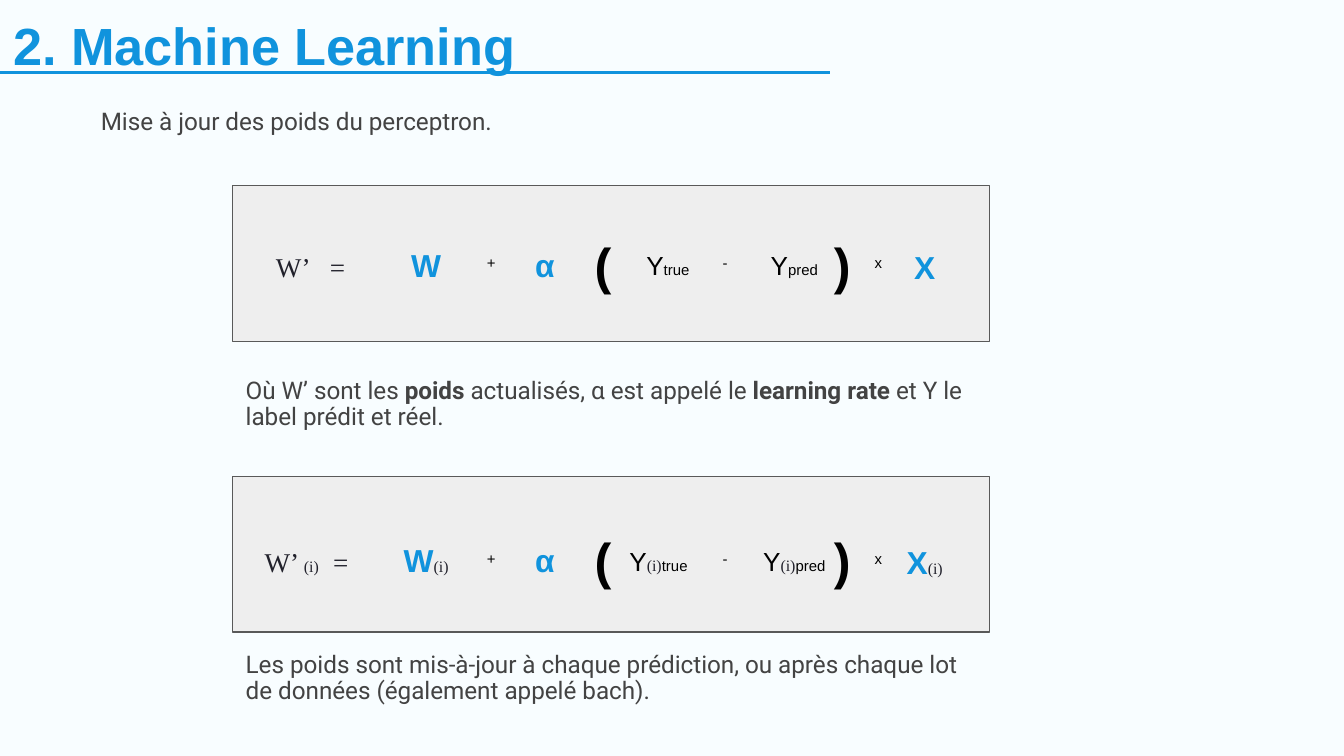
from dataclasses import dataclass

from lxml import etree
from pptx import Presentation
from pptx.dml.color import RGBColor
from pptx.enum.shapes import MSO_CONNECTOR, MSO_SHAPE
from pptx.enum.text import MSO_ANCHOR, MSO_AUTO_SIZE, PP_ALIGN
from pptx.oxml.ns import qn
from pptx.util import Inches, Pt

LEFT, CENTER = PP_ALIGN.LEFT, PP_ALIGN.CENTER
TOP = MSO_ANCHOR.TOP
GROW = MSO_AUTO_SIZE.SHAPE_TO_FIT_TEXT
RECTANGLE, STRAIGHT = MSO_SHAPE.RECTANGLE, MSO_CONNECTOR.STRAIGHT
NO_GRID_STYLE = "{2D5ABB26-0587-4C30-8999-92F81FD0307C}"

WIDTH = Inches(10)
HEIGHT = WIDTH * 9 // 16
CELL = WIDTH / 100  # square grid, 100 columns across the slide
PANEL_LEFT, PANEL_WIDTH, PANEL_HEIGHT = 17.3, 56.35, 11.6


@dataclass(frozen=True)
class Theme:
    background: str = "F8FDFF"
    accent: str = "1093DD"
    body: str = "434343"
    formula: str = "21212B"
    black: str = "000000"
    panel: str = "EEEEEE"
    border: str = "595959"
    sans: str = "Arial"
    serif: str = "Times New Roman"
    text: str = "Roboto"
    title_size: float = 28
    bracket_size: float = 27
    symbol_size: float = 17
    result_size: float = 14.5
    label_size: float = 14
    body_size: float = 13
    index_size: float = 8.5
    small_size: float = 8


THEME = Theme()

# Text formats: font, size, colour, bold
TITLE = (THEME.sans, THEME.title_size, THEME.accent, True)
BODY = (THEME.text, THEME.body_size, THEME.body, False)
STRONG = (THEME.text, THEME.body_size, THEME.body, True)
SYMBOL = (THEME.sans, THEME.symbol_size, THEME.accent, True)
BRACKET = (THEME.sans, THEME.bracket_size, THEME.black, True)
LABEL = (THEME.sans, THEME.label_size, THEME.black, False)
SMALL = (THEME.sans, THEME.small_size, THEME.black, False)
RESULT = (THEME.serif, THEME.result_size, THEME.formula, False)
INDEX = (THEME.serif, THEME.index_size, THEME.formula, False)


def grid(*cells):
    return [round(cell * CELL) for cell in cells]


def color(value):
    return RGBColor.from_string(value)


def write(frame, runs, align=LEFT, spacing=None, tab=None, plain=False):
    """Fill a text frame with one paragraph of (text, format) runs."""
    paragraph = frame.paragraphs[0]
    paragraph.alignment = align
    if spacing:
        paragraph.line_spacing = spacing
    properties = paragraph._p.get_or_add_pPr()
    if plain:
        paragraph.space_before = Pt(0)
        properties.set("marL", "0")
        properties.set("indent", "0")
        etree.SubElement(properties, qn("a:buNone"))
    if tab:
        stops = etree.SubElement(properties, qn("a:tabLst"))
        etree.SubElement(stops, qn("a:tab"), pos=str(grid(tab)[0]), algn="l")
    for text, (name, size, shade, bold) in runs:
        run = paragraph.add_run()
        run.text = text
        run.font.name, run.font.size, run.font.bold = name, Pt(size), bold
        run.font.color.rgb = color(shade)


def set_frame(frame):
    frame.word_wrap = True
    frame.auto_size = GROW
    frame.vertical_anchor = TOP
    frame.margin_left, frame.margin_top, frame.margin_right, frame.margin_bottom = grid(1, 1, 1, 1)


def add_text(slide, place, runs, **options):
    shape = slide.shapes.add_textbox(*grid(*place))
    set_frame(shape.text_frame)
    write(shape.text_frame, runs, **options)


def fill_placeholder(shape, place, runs, **options):
    shape.left, shape.top, shape.width, shape.height = grid(*place)
    set_frame(shape.text_frame)
    write(shape.text_frame, runs, plain=True, **options)


def add_panel(slide, top):
    shape = slide.shapes.add_shape(RECTANGLE, *grid(PANEL_LEFT, top, PANEL_WIDTH, PANEL_HEIGHT))
    shape.shadow.inherit = False
    shape.fill.solid()
    shape.fill.fore_color.rgb = color(THEME.panel)
    shape.line.color.rgb = color(THEME.border)
    shape.line.width = Pt(0.75)


def add_label_table(slide, place, runs):
    table = slide.shapes.add_table(1, 1, *grid(*place)).table
    table.first_row = table.horz_banding = False
    table._tbl.tblPr.find(qn("a:tableStyleId")).text = NO_GRID_STYLE
    cell = table.cell(0, 0)
    cell.fill.background()
    cell.vertical_anchor = TOP
    cell.margin_left, cell.margin_top, cell.margin_right, cell.margin_bottom = grid(1, 1, 1, 1)
    write(cell.text_frame, runs, align=CENTER)


def add_rule(slide, right, top):
    line = slide.shapes.add_connector(STRAIGHT, *grid(0, top, right, top))
    line.line.color.rgb = color(THEME.accent)
    line.line.width = Pt(1.5)
    etree.SubElement(line._element.spPr, qn("a:effectLst"))


def add_equation(slide, panel_top, top, result, true_place, index=()):
    """Draw the update rule; index holds the runs set after each variable."""
    add_panel(slide, panel_top)

    # Updated weight, with the equals sign on a tab stop
    left, width, tab = result
    add_text(slide, (left, top + 1.2, width, 4.5),
             [("W’ " if index else "W’", RESULT), *index, ("\t=", RESULT)], tab=tab)

    # Weight, learning rate and input
    for left, offset, text, suffix in [(28.75, 0.85, "W", index), (37.6, 0.85, "α", ()),
                                       (65.85, 1, "X", index)]:
        add_text(slide, (left, top + offset, 5.9, 4.9), [(text, SYMBOL), *suffix], align=CENTER)

    # Operators and brackets
    for left, text in [(35, "+"), (52.4, "-"), (63.8, "x")]:
        add_text(slide, (left, top + 1.8, 3.1, 3.4), [(text, SMALL)], align=CENTER)
    for left, text in [(43.25, "("), (61.05, ")")]:
        add_text(slide, (left, top, 3.1, 6.6), [(text, BRACKET)], align=CENTER)

    # True and predicted labels
    for (left, width), height, text in [(true_place, 4.3, "true"), ((55.7, 6.8), 5.7, "pred")]:
        add_label_table(slide, (left, top + 1.35, width, height),
                        [("Y", LABEL), *index, (text, SMALL)])


def main():
    presentation = Presentation()
    presentation.slide_width, presentation.slide_height = WIDTH, HEIGHT
    slide = presentation.slides.add_slide(presentation.slide_layouts[1])
    slide.background.fill.solid()
    slide.background.fill.fore_color.rgb = color(THEME.background)

    # Heading
    title, body = slide.placeholders
    fill_placeholder(title, (0, 0, 89.4, 6.7), [("2. Machine Learning", TITLE)])
    add_rule(slide, 61.75, 5.4)
    fill_placeholder(body, (6.5, 7.15, 88.7, 4),
                     [("Mise à jour des poids du perceptron.", BODY)], spacing=0.9)

    # Update rule, then the same rule per sample
    add_equation(slide, 13.8, 16.4, result=(19.55, 7.5, 4), true_place=(47, 5.4))
    add_equation(slide, 35.45, 38.4, result=(18.7, 10, 5.1), true_place=(45.6, 6.8),
                 index=[("(i)", INDEX)])

    # Explanations under each rule
    explanations = [
        (27.15, [("Où W’ sont les ", BODY), ("poids", STRONG),
                 (" actualisés, α est appelé le ", BODY), ("learning rate ", STRONG),
                 ("et Y le label prédit et réel.", BODY)]),
        (47.55, [("Les poids sont mis-à-jour à chaque prédiction, ou après chaque lot "
                  "de données (également appelé bach).", BODY)]),
    ]
    for top, runs in explanations:
        add_text(slide, (PANEL_LEFT, top, PANEL_WIDTH, 6), runs, spacing=0.9)

    presentation.save("out.pptx")


if __name__ == "__main__":
    main()
